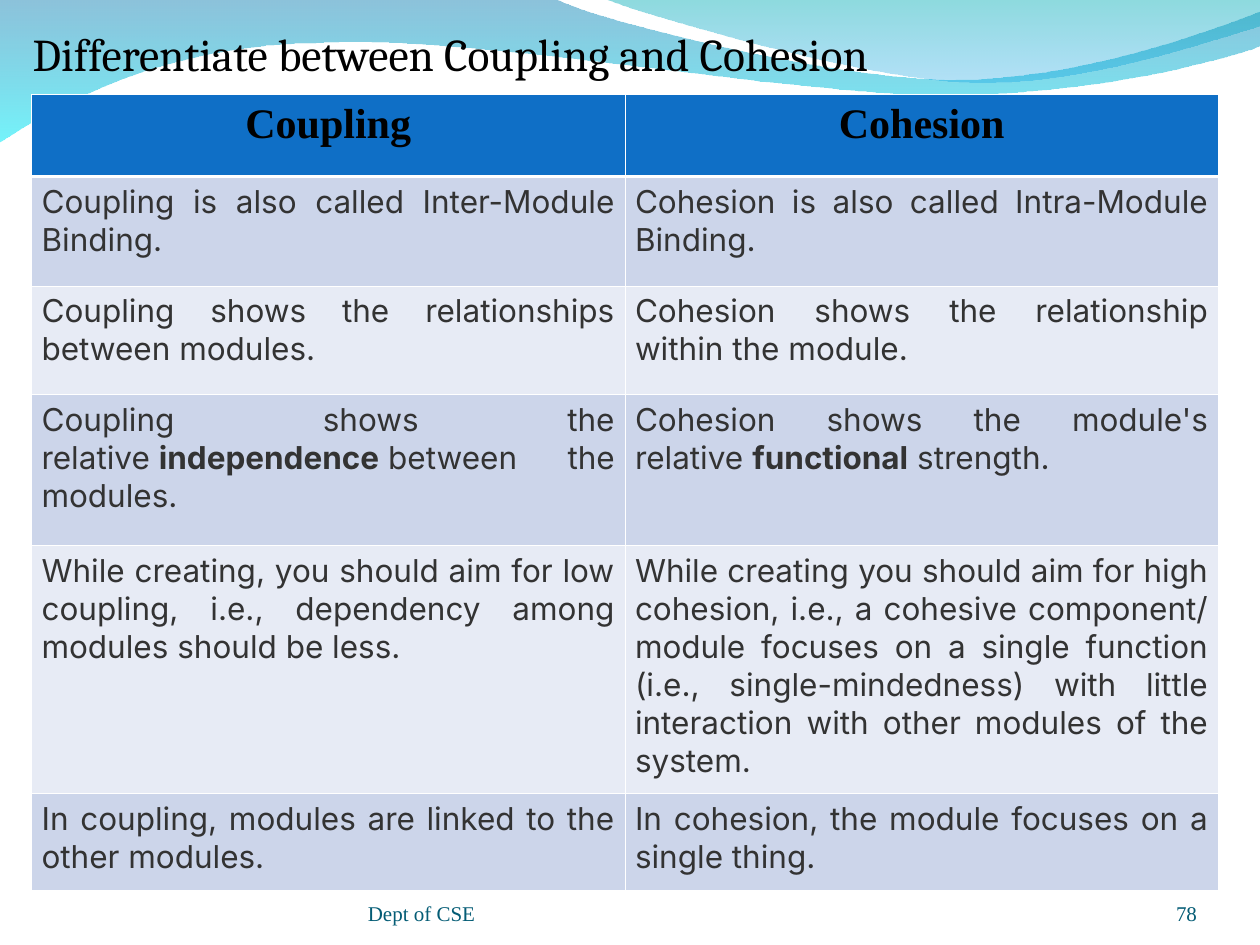
import pptx
import pptx.dml.color
import pptx.enum.text
import pptx.oxml
import pptx.oxml.ns
import pptx.util
from dataclasses import dataclass

Inches = pptx.util.Inches
Align = pptx.enum.text.PP_ALIGN
Anchor = pptx.enum.text.MSO_ANCHOR
NO_BREAK_SPACE = chr(160)


@dataclass(frozen=True)
class Theme:
    title: tuple = ("Cambria", 26, "000000")
    header: tuple = ("Times New Roman", 24, "000000")
    body: tuple = ("Inter", 18, "333333")
    footer: tuple = ("Times New Roman", 12, "045C75")
    header_fill: str = "0F6FC6"
    bands: tuple = ("CCD5EA", "E7EBF5")
    border: str = "FFFFFF"
    thin: float = 0.45
    thick: float = 1.47
    # Gradient stops: colour and opacity in percent
    back_wave: tuple = (("0079AF", 45), ("00EBF8", 55))
    front_wave: tuple = (("00ADB6", 45), ("009BE5", 30))


THEME = Theme()

# Two numbers make a line; six numbers make a cubic curve
BACK_WAVE = [
    (0, -0.01), (4.4, -0.01),
    (4.76, 0.17, 6.64, 0.63, 7.58, 0.63), (8.53, 0.63, 9.58, 0.26, 10, 0.09),
    (10.01, 0.36),
    (9.83, 0.44, 8.7, 0.76, 7.46, 0.75), (6.22, 0.75, 3.82, 0.28, 2.57, 0.34),
    (1.29, 0.35, 0.46, 0.83, -0.01, 1.13),
]
FRONT_WAVE = [
    (4.79, -0.01),
    (5.09, 0.11, 6.82, 0.62, 7.69, 0.65), (8.56, 0.69, 9.61, 0.32, 10, 0.21),
    (10, 0),
]

# Every second piece of a cell is bold; no-break spaces join the pieces
ROWS = [
    (0.87, ["Coupling is also called Inter-Module Binding."],
     ["Cohesion is also called Intra-Module Binding."]),
    (0.86, ["Coupling shows the relationships between modules."],
     ["Cohesion shows the relationship within the module."]),
    (1.2, ["Coupling shows the relative", "independence", "between the modules."],
     ["Cohesion shows the module's relative", "functional", "strength."]),
    (1.97, ["While creating, you should aim for low coupling, i.e., dependency "
            "among modules should be less."],
     ["While creating you should aim for high cohesion, i.e., a cohesive "
      "component/ module focuses on a single function (i.e., single-mindedness) "
      "with little interaction with other modules of the system."]),
    (0.77, ["In coupling, modules are linked to the other modules."],
     ["In cohesion, the module focuses on a single thing."]),
]


def set_attributes(target, values):
    for name, value in values.items():
        setattr(target, name, value)


def write(paragraph, text, style, bold=False):
    name, size, color = style
    run = paragraph.add_run()
    run.text = text
    set_attributes(run.font, {"name": name, "size": pptx.util.Pt(size), "bold": bold})
    run.font.color.rgb = pptx.dml.color.RGBColor.from_string(color)


def bend_segments(shape, segments):
    """Turn each run of three lines that stands for a curve into that curve."""
    lines = iter(shape._element.findall(".//" + pptx.oxml.ns.qn("a:lnTo")))
    for segment in segments:
        first = next(lines)
        if len(segment) == 6:
            curve = pptx.oxml.parse_xml(f'<a:cubicBezTo {pptx.oxml.ns.nsdecls("a")}/>')
            first.addprevious(curve)
            for line in (first, next(lines), next(lines)):
                curve.append(line[0])
                line.getparent().remove(line)


def add_wave(slide, outline, stops):
    points = [(Inches(segment[i]), Inches(segment[i + 1]))
              for segment in outline for i in range(0, len(segment), 2)]
    builder = slide.shapes.build_freeform(*points[0])
    builder.add_line_segments(points[1:], close=True)
    shape = builder.convert_to_shape()
    # The closing line back to the start stays straight
    bend_segments(shape, outline[1:])
    shape.shadow.inherit = False
    shape.line.fill.background()
    shape.fill.gradient()
    gradient = shape._element.spPr.find(pptx.oxml.ns.qn("a:gradFill"))
    stop_xml = "".join(
        f'<a:gs pos="{position}"><a:srgbClr val="{color}">'
        f'<a:alpha val="{opacity * 1000}"/></a:srgbClr></a:gs>'
        for position, (color, opacity) in zip((0, 100000), stops))
    gradient.getparent().replace(gradient, pptx.oxml.parse_xml(
        f'<a:gradFill {pptx.oxml.ns.nsdecls("a")} rotWithShape="1"><a:gsLst>{stop_xml}'
        '</a:gsLst><a:lin ang="5400000" scaled="0"/></a:gradFill>'))


def add_title(slide, box, text):
    title = slide.shapes.title
    slide.shapes._spTree.append(title._element)  # in front of the waves
    set_attributes(title, dict(zip(("left", "top", "width", "height"), box)))
    set_attributes(title.text_frame, {
        "vertical_anchor": Anchor.TOP, "word_wrap": True,
        "auto_size": pptx.enum.text.MSO_AUTO_SIZE.NONE})
    paragraph = title.text_frame.paragraphs[0]
    paragraph.alignment = Align.LEFT
    write(paragraph, text, THEME.title)


def add_footer(slide, box, text, alignment):
    frame = slide.shapes.add_textbox(*box).text_frame
    set_attributes(frame, {
        "margin_left": 0, "margin_right": 0, "margin_top": 0, "margin_bottom": 0,
        "vertical_anchor": Anchor.BOTTOM, "word_wrap": True})
    frame.paragraphs[0].alignment = alignment
    write(frame.paragraphs[0], text, THEME.footer)


def set_borders(cell, widths):
    properties = cell._tc.get_or_add_tcPr()
    for index, (side, width) in enumerate(widths.items()):
        properties.insert(index, pptx.oxml.parse_xml(
            f'<a:ln{side} {pptx.oxml.ns.nsdecls("a")} w="{round(width * 12700)}">'
            f'<a:solidFill><a:srgbClr val="{THEME.border}"/></a:solidFill></a:ln{side}>'))


def fill_cell(cell, pieces, style, fill, alignment, margin, top, bottom):
    set_borders(cell, {"L": THEME.thin, "R": THEME.thin, "T": top, "B": bottom})
    cell.fill.solid()
    cell.fill.fore_color.rgb = pptx.dml.color.RGBColor.from_string(fill)
    set_attributes(cell, {
        "margin_left": Inches(margin), "margin_right": Inches(margin),
        "margin_top": Inches(0.05), "margin_bottom": Inches(0.05)})
    paragraph = cell.text_frame.paragraphs[0]
    paragraph.alignment = alignment
    for index, piece in enumerate(pieces):
        emphasized = index % 2 == 1
        if index and not emphasized:
            piece = NO_BREAK_SPACE + piece
        elif index + 1 < len(pieces) and not emphasized:
            piece += NO_BREAK_SPACE
        write(paragraph, piece, style, bold=style is THEME.header or emphasized)


def add_comparison(slide, box, headings, rows):
    table = slide.shapes.add_table(len(rows) + 1, len(headings), *box).table
    for column in table.columns:
        column.width = box[2] // len(headings)

    # Heading row
    table.rows[0].height = Inches(0.65)
    for cell, heading in zip(table.rows[0].cells, headings):
        fill_cell(cell, [heading], THEME.header, THEME.header_fill, Align.CENTER,
                  0.13, THEME.thin, THEME.thick)

    # Banded rows
    for index, (height, *texts) in enumerate(rows):
        row = table.rows[index + 1]
        row.height = Inches(height)
        for cell, pieces in zip(row.cells, texts):
            fill_cell(cell, pieces, THEME.body, THEME.bands[index % 2], Align.JUSTIFY,
                      0.08, THEME.thin if index else THEME.thick, THEME.thin)


def inch_box(*lengths):
    return tuple(Inches(length) for length in lengths)


def main():
    presentation = pptx.Presentation()
    set_attributes(presentation, {"slide_width": Inches(10), "slide_height": Inches(7.5)})
    slide = presentation.slides.add_slide(presentation.slide_layouts[5])

    # Waves along the top edge
    add_wave(slide, BACK_WAVE, THEME.back_wave)
    add_wave(slide, FRONT_WAVE, THEME.front_wave)

    # Title, footer and comparison
    add_title(slide, inch_box(0.16, 0.16, 9.67, 0.58),
              "Differentiate between Coupling and Cohesion")
    add_footer(slide, inch_box(2.92, 6.95, 3.67, 0.4), "Dept of CSE", Align.LEFT)
    add_footer(slide, inch_box(8.67, 6.95, 0.83, 0.4), "78", Align.RIGHT)
    add_comparison(slide, inch_box(0.25, 0.75, 9.42, 6.32), ["Coupling", "Cohesion"], ROWS)

    presentation.save("out.pptx")


if __name__ == "__main__":
    main()
